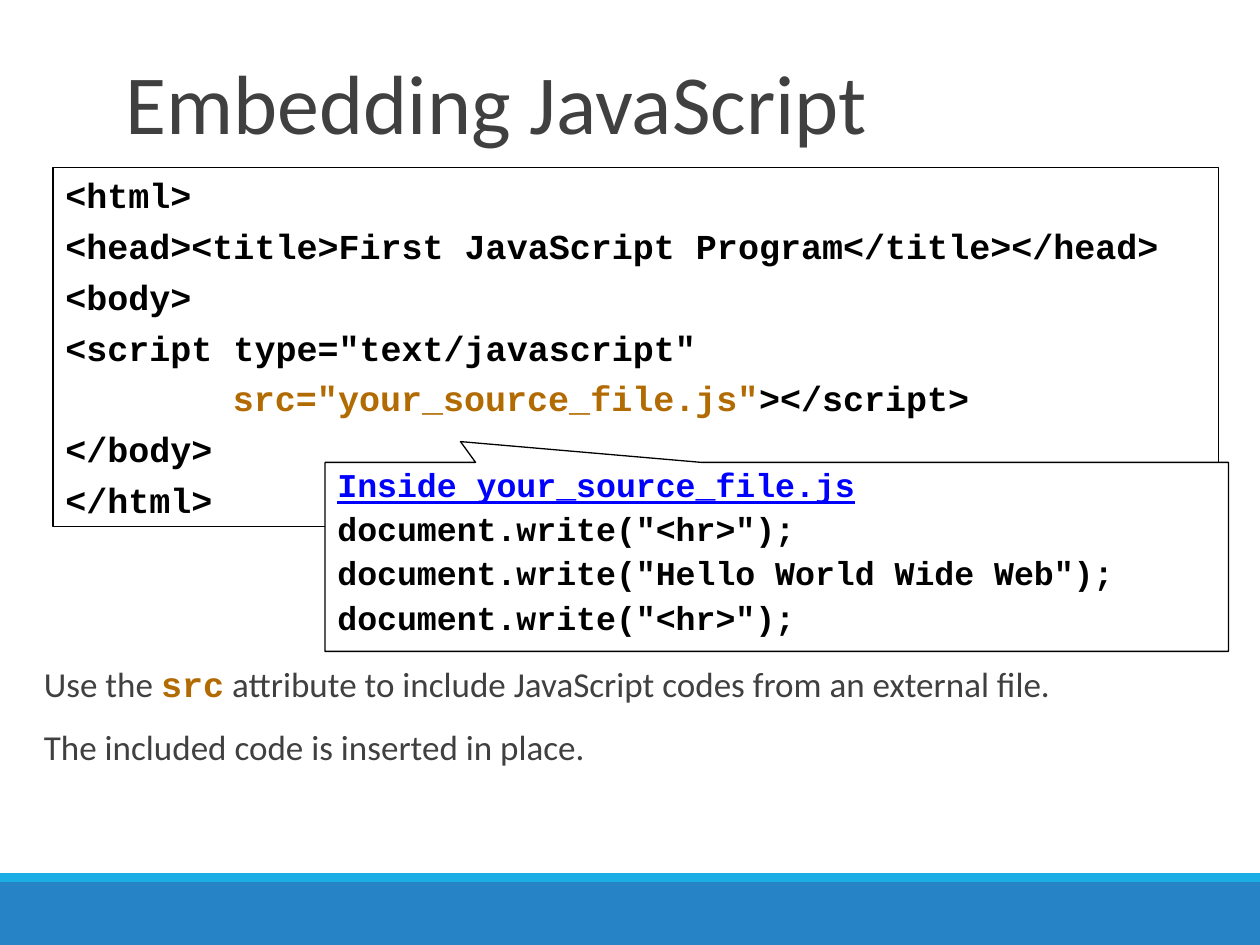
from pptx import Presentation
from pptx.dml.color import RGBColor
from pptx.enum.shapes import MSO_SHAPE as SHAPE
from pptx.enum.text import MSO_ANCHOR as ANCHOR, PP_ALIGN as ALIGN
from pptx.util import Inches, Pt

BLACK = RGBColor(0x00, 0x00, 0x00)
WHITE = RGBColor(0xFF, 0xFF, 0xFF)
GRAY = RGBColor(0x40, 0x40, 0x40)
BLUE = RGBColor(0x26, 0x83, 0xC6)
CYAN = RGBColor(0x1C, 0xAD, 0xE4)
OCHRE = RGBColor(0xB2, 0x6B, 0x02)
LINK_BLUE = RGBColor(0x00, 0x00, 0xFF)
SANS = "Calibri"
MONO = "Courier New"


def add_text(paragraph, text, font=SANS, size=20, color=GRAY, bold=False, underline=False):
    run = paragraph.add_run()
    run.text = text
    run.font.name = font
    run.font.size = Pt(size)
    run.font.color.rgb = color
    run.font.bold = bold
    run.font.underline = underline


def add_box(preset, left, top, width, height, fill, line=None):
    box = slide.shapes.add_shape(preset, Inches(left), Inches(top), Inches(width), Inches(height))
    box.shadow.inherit = False
    box.fill.solid()
    box.fill.fore_color.rgb = fill
    if line is None:
        box.line.fill.background()
    else:
        box.line.color.rgb = line
        box.line.width = Pt(0.75)
    box.text_frame.word_wrap = True
    box.text_frame.vertical_anchor = ANCHOR.TOP
    return box


deck = Presentation()
deck.slide_width = Inches(10)
deck.slide_height = Inches(7.5)
slide = deck.slides.add_slide(deck.slide_layouts[6])

add_box(SHAPE.RECTANGLE, 0, 7, 10, 0.5, BLUE)
add_box(SHAPE.RECTANGLE, 0, 6.93, 10, 0.07, CYAN)

title = slide.shapes.add_textbox(Inches(0.9), Inches(0.31), Inches(8.25), Inches(0.94)).text_frame
title.word_wrap = True
title.vertical_anchor = ANCHOR.BOTTOM
title.paragraphs[0].line_spacing = 0.85
add_text(title.paragraphs[0], "Embedding JavaScript", size=48)

notes = slide.shapes.add_textbox(Inches(0.25), Inches(5.25), Inches(9.25), Inches(1.67)).text_frame
notes.word_wrap = True
notes.margin_left = Inches(0.1)
notes.margin_right = 0
src_note = notes.paragraphs[0]
add_text(src_note, "Use the ")
add_text(src_note, "src", font=MONO, color=OCHRE, bold=True)
add_text(src_note, " attribute to include JavaScript codes from an external file.")
add_text(notes.add_paragraph(), "The included code is inserted in place.")
for note in notes.paragraphs:
    note.line_spacing = 0.9
    note.space_before = Pt(12)
    note.space_after = Pt(2)

html_lines = [
    [("<html>", BLACK)],
    [("<head><title>First JavaScript Program</title></head>", BLACK)],
    [("<body>", BLACK)],
    [('<script type="text/javascript"', BLACK)],
    [('src="your_source_file.js"', OCHRE), ("></script>", BLACK)],
    [("</body>", BLACK)],
    [("</html>", BLACK)],
]
html_code = add_box(SHAPE.RECTANGLE, 0.42, 1.33, 9.25, 2.85, WHITE, BLACK).text_frame
for number, parts in enumerate(html_lines):
    code_line = html_code.add_paragraph() if number else html_code.paragraphs[0]
    code_line.alignment = ALIGN.LEFT
    code_line.space_before = Pt(5)
    for text, color in parts:
        add_text(code_line, text, font=MONO, color=color, bold=True)
src_line = html_code.paragraphs[4]
src_line._p.get_or_add_pPr().set("marL", str(Inches(1.33)))

script_lines = [
    "Inside your_source_file.js",
    'document.write("<hr>");',
    'document.write("Hello World Wide Web");',
    'document.write("<hr>");',
]
callout = add_box(SHAPE.RECTANGULAR_CALLOUT, 2.58, 3.67, 7.17, 1.5, WHITE, BLACK)
callout.adjustments[0] = -0.35
callout.adjustments[1] = -0.61
script_code = callout.text_frame
for number, text in enumerate(script_lines):
    heading = number == 0
    script_line = script_code.paragraphs[0] if heading else script_code.add_paragraph()
    script_line.alignment = ALIGN.LEFT
    script_line.line_spacing = 0.9
    script_line.space_before = Pt(4.8)
    add_text(script_line, text, font=MONO, size=19, color=LINK_BLUE if heading else BLACK,
             bold=True, underline=heading)

deck.save("out.pptx")
